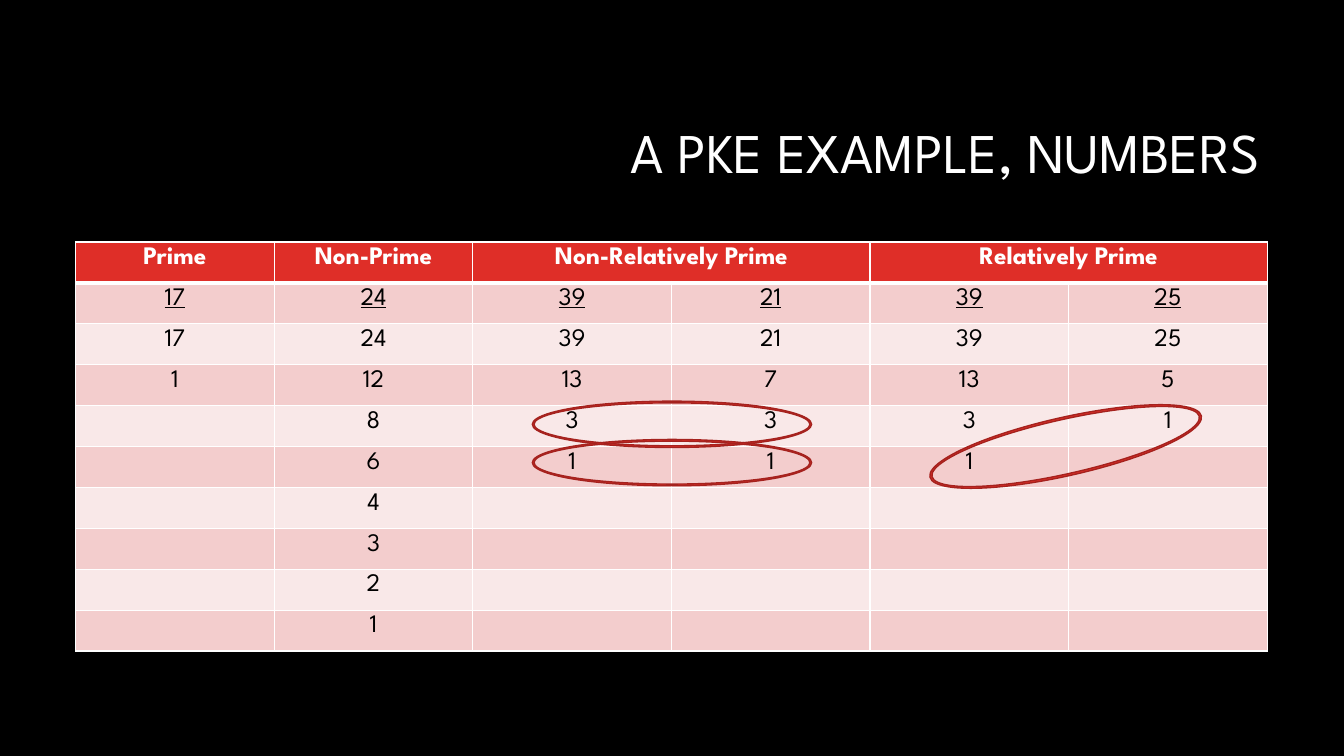
from lxml import etree
from pptx import Presentation
from pptx.dml.color import RGBColor
from pptx.enum.shapes import MSO_SHAPE
from pptx.enum.text import MSO_ANCHOR, PP_ALIGN
from pptx.oxml.ns import qn
from pptx.util import Inches, Pt

DONUT = MSO_SHAPE.DONUT
MIDDLE = MSO_ANCHOR.MIDDLE
CENTER, RIGHT = PP_ALIGN.CENTER, PP_ALIGN.RIGHT

FONT = "League Spartan"
BLACK, WHITE = "000000", "FFFFFF"
RED, DARK_RED = "DF2E28", "A5221E"
BANDS = ["F3CDCD", "F9E8E8"]

TITLE = "A PKE EXAMPLE, NUMBERS"
HEADERS = {0: "Prime", 1: "Non-Prime", 2: "Non-Relatively Prime", 4: "Relatively Prime"}
MERGED_STARTS = [2, 4]
# Each column: the number itself, then its divisors
COLUMNS = [
    ["17", "17", "1"],
    ["24", "24", "12", "8", "6", "4", "3", "2", "1"],
    ["39", "39", "13", "3", "1"],
    ["21", "21", "7", "3", "1"],
    ["39", "39", "13", "3", "1"],
    ["25", "25", "5", "1"],
]
TABLE_LEFT, TABLE_TOP = 0.75, 2.4
COL_WIDTH, ROW_HEIGHT = 1.97, 0.406
# Rings round the common divisors: left, top, width, height, rotation
RINGS = [
    (5.28, 3.98, 2.77, 0.46, 0),
    (5.28, 4.36, 2.77, 0.46, 0),
    (9.19, 4.14, 2.76, 0.58, 347.3),
]


def color(value):
    return RGBColor.from_string(value)


def write(tf, text, size, ink, align, bold=False, underline=False):
    p = tf.paragraphs[0]
    p.alignment = align
    r = p.add_run()
    r.text = text
    r.font.name = FONT
    r.font.size = Pt(size)
    r.font.bold = bold
    r.font.underline = underline
    r.font.color.rgb = color(ink)
    return p


def set_borders(cell, top, bottom):
    """Draw white borders, 1 pt at the sides and as given at top and bottom."""
    props = cell._tc.get_or_add_tcPr()
    widths = {"a:lnL": 1, "a:lnR": 1, "a:lnT": top, "a:lnB": bottom}
    for i, (tag, width) in enumerate(widths.items()):
        ln = etree.Element(qn(tag), w=str(Pt(width)))
        fill = etree.SubElement(ln, qn("a:solidFill"))
        etree.SubElement(fill, qn("a:srgbClr"), val=WHITE)
        props.insert(i, ln)


prs = Presentation()
prs.slide_width, prs.slide_height = Inches(13.33), Inches(7.5)
slide = prs.slides.add_slide(prs.slide_layouts[6])
slide.background.fill.solid()
slide.background.fill.fore_color.rgb = color(BLACK)

title = slide.shapes.add_textbox(Inches(3.17), Inches(0.84), Inches(9.42), Inches(1.41))
tf = title.text_frame
tf.word_wrap = True
tf.vertical_anchor = MIDDLE
write(tf, TITLE, 40, WHITE, RIGHT).line_spacing = 0.9

n_rows, n_cols = 1 + max(len(column) for column in COLUMNS), len(COLUMNS)
table = slide.shapes.add_table(
    n_rows, n_cols, Inches(TABLE_LEFT), Inches(TABLE_TOP),
    Inches(COL_WIDTH * n_cols), Inches(ROW_HEIGHT * n_rows)).table
for column in table.columns:
    column.width = Inches(COL_WIDTH)
for row in table.rows:
    row.height = Inches(ROW_HEIGHT)
for start in MERGED_STARTS:
    table.cell(0, start).merge(table.cell(0, start + 1))

for i in range(n_rows):
    for j, numbers in enumerate(COLUMNS):
        cell = table.cell(i, j)
        cell.fill.solid()
        cell.fill.fore_color.rgb = color(BANDS[(i - 1) % 2] if i else RED)
        set_borders(cell, 3 if i == 1 else 1, 3 if i == 0 else 1)
        if i == 0 and j in HEADERS:
            write(cell.text_frame, HEADERS[j], 18, WHITE, CENTER, bold=True)
        elif 0 < i <= len(numbers):
            write(cell.text_frame, numbers[i - 1], 18, BLACK, CENTER, underline=i == 1)

for left, top, width, height, rotation in RINGS:
    sp = slide.shapes.add_shape(DONUT, Inches(left), Inches(top), Inches(width), Inches(height))
    sp.adjustments[0] = 0.037
    sp.rotation = rotation
    sp.shadow.inherit = False
    sp.fill.solid()
    sp.fill.fore_color.rgb = color(RED)
    sp.line.color.rgb = color(DARK_RED)
    sp.line.width = Pt(1)

prs.save("out.pptx")
